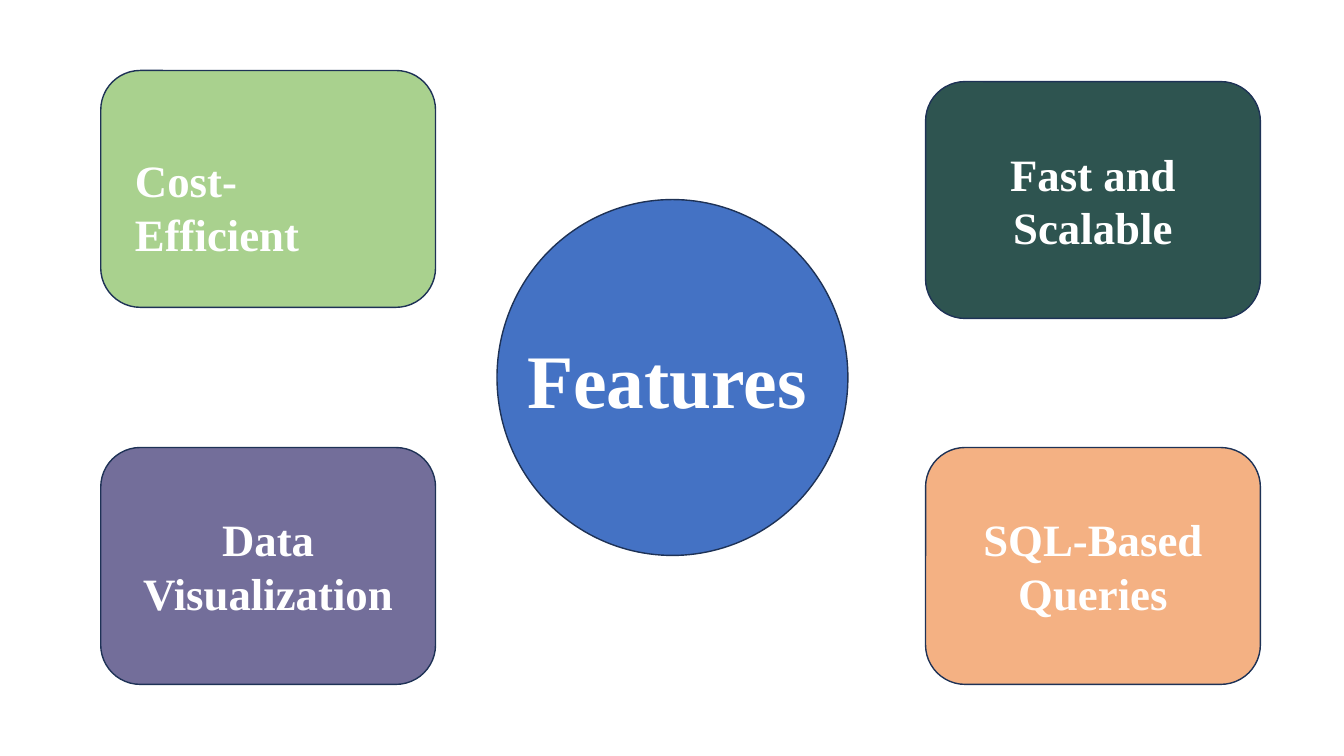
"""Build a slide with a central Features circle and four feature cards."""
import dataclasses
from typing import Any

import pptx
import pptx.dml.color
import pptx.enum.shapes
import pptx.enum.text
import pptx.util

SHAPE = pptx.enum.shapes.MSO_SHAPE
ANCHOR = pptx.enum.text.MSO_ANCHOR
ALIGN = pptx.enum.text.PP_ALIGN
FIT = pptx.enum.text.MSO_AUTO_SIZE
SLIDE_WIDTH = pptx.util.Inches(13.33)
SLIDE_HEIGHT = pptx.util.Inches(7.5)


@dataclasses.dataclass(frozen=True)
class Theme:
    """Hold the colours, font and type sizes."""
    font: str = "Times New Roman"
    text: str = "FFFFFF"
    outline: str = "1E3256"
    blue: str = "4472C4"
    green: str = "A9D18E"
    purple: str = "736E9A"
    teal: str = "2E5450"
    orange: str = "F4B183"
    title_size: int = 54
    card_size: int = 32
    outline_width: int = 1


@dataclasses.dataclass(frozen=True)
class Area:
    """Describe a rectangle in percent of the slide's size."""
    left: float
    top: float
    width: float
    height: float

    def lengths(self) -> tuple[int, int, int, int]:
        """Return left, top, width and height as slide lengths."""
        return (
            round(SLIDE_WIDTH * self.left / 100),
            round(SLIDE_HEIGHT * self.top / 100),
            round(SLIDE_WIDTH * self.width / 100),
            round(SLIDE_HEIGHT * self.height / 100),
        )


@dataclasses.dataclass(frozen=True)
class Panel:
    """Describe a filled shape with optional centred text."""
    area: Area
    color: str
    text: str = ""
    kind: Any = SHAPE.ROUNDED_RECTANGLE


@dataclasses.dataclass(frozen=True)
class Label:
    """Describe a free-standing line of text."""
    area: Area
    text: str
    size: int


THEME = Theme()
LEFT_COLUMN, RIGHT_COLUMN = 7.5, 68.87
LOWER_ROW = 59.2
CARD_SIZE = (24.91, 31.33)
PANELS = (
    Panel(Area(36.98, 26.4, 26.11, 47.07), THEME.blue, kind=SHAPE.OVAL),
    Panel(Area(LEFT_COLUMN, 9.33, *CARD_SIZE), THEME.green),
    Panel(Area(LEFT_COLUMN, LOWER_ROW, *CARD_SIZE), THEME.purple, "Data Visualization"),
    Panel(Area(RIGHT_COLUMN, 10.8, *CARD_SIZE), THEME.teal, "Fast and Scalable"),
    Panel(Area(RIGHT_COLUMN, LOWER_ROW, *CARD_SIZE), THEME.orange, "SQL-Based Queries"),
)
LABELS = (
    Label(Area(38.48, 43.33, 23.03, 13.47), "Features", THEME.title_size),
    Label(Area(9.3, 19.6, 21.31, 15.73), "Cost-Efficient", THEME.card_size),
)


def apply_format(target: Any, values: dict[str, Any]) -> None:
    """Set each named attribute on the target."""
    for name, value in values.items():
        setattr(target, name, value)


def color_of(code: str) -> pptx.dml.color.RGBColor:
    """Turn a hexadecimal code into a colour."""
    return pptx.dml.color.RGBColor.from_string(code)


def write_text(shape: Any, text: str, size: int, alignment: Any, frame_format: dict[str, Any]) -> None:
    """Write one bold paragraph into the shape."""
    apply_format(shape.text_frame, {"word_wrap": True, **frame_format})
    paragraph = shape.text_frame.paragraphs[0]
    paragraph.alignment = alignment
    run = paragraph.add_run()
    run.text = text
    apply_format(run.font, {"name": THEME.font, "size": pptx.util.Pt(size), "bold": True})
    run.font.color.rgb = color_of(THEME.text)


def draw_panel(slide: Any, panel: Panel) -> None:
    """Draw a filled and outlined panel."""
    shape = slide.shapes.add_shape(panel.kind, *panel.area.lengths())
    shape.shadow.inherit = False
    shape.fill.solid()
    shape.fill.fore_color.rgb = color_of(panel.color)
    shape.line.color.rgb = color_of(THEME.outline)
    shape.line.width = pptx.util.Pt(THEME.outline_width)
    if panel.text:
        write_text(shape, panel.text, THEME.card_size, ALIGN.CENTER, {"vertical_anchor": ANCHOR.MIDDLE})


def draw_label(slide: Any, label: Label) -> None:
    """Draw a text box that grows with its text."""
    shape = slide.shapes.add_textbox(*label.area.lengths())
    write_text(shape, label.text, label.size, ALIGN.LEFT, {"auto_size": FIT.SHAPE_TO_FIT_TEXT})


def main() -> None:
    """Build and save the presentation."""
    presentation = pptx.Presentation()
    apply_format(presentation, {"slide_width": SLIDE_WIDTH, "slide_height": SLIDE_HEIGHT})
    slide = presentation.slides.add_slide(presentation.slide_layouts[6])
    for panel in PANELS:
        draw_panel(slide, panel)
    for label in LABELS:
        draw_label(slide, label)
    presentation.save("out.pptx")


if __name__ == "__main__":
    main()
